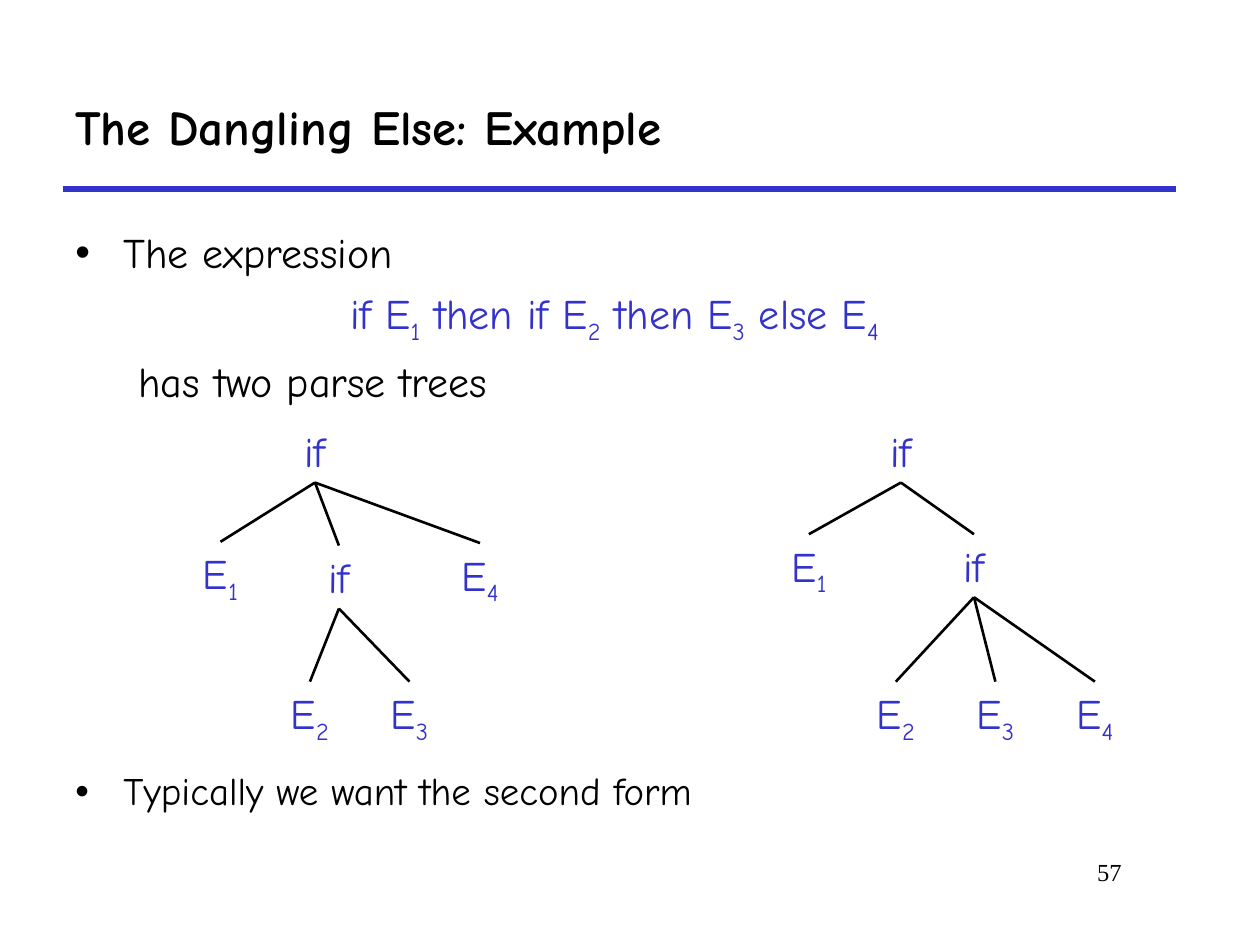
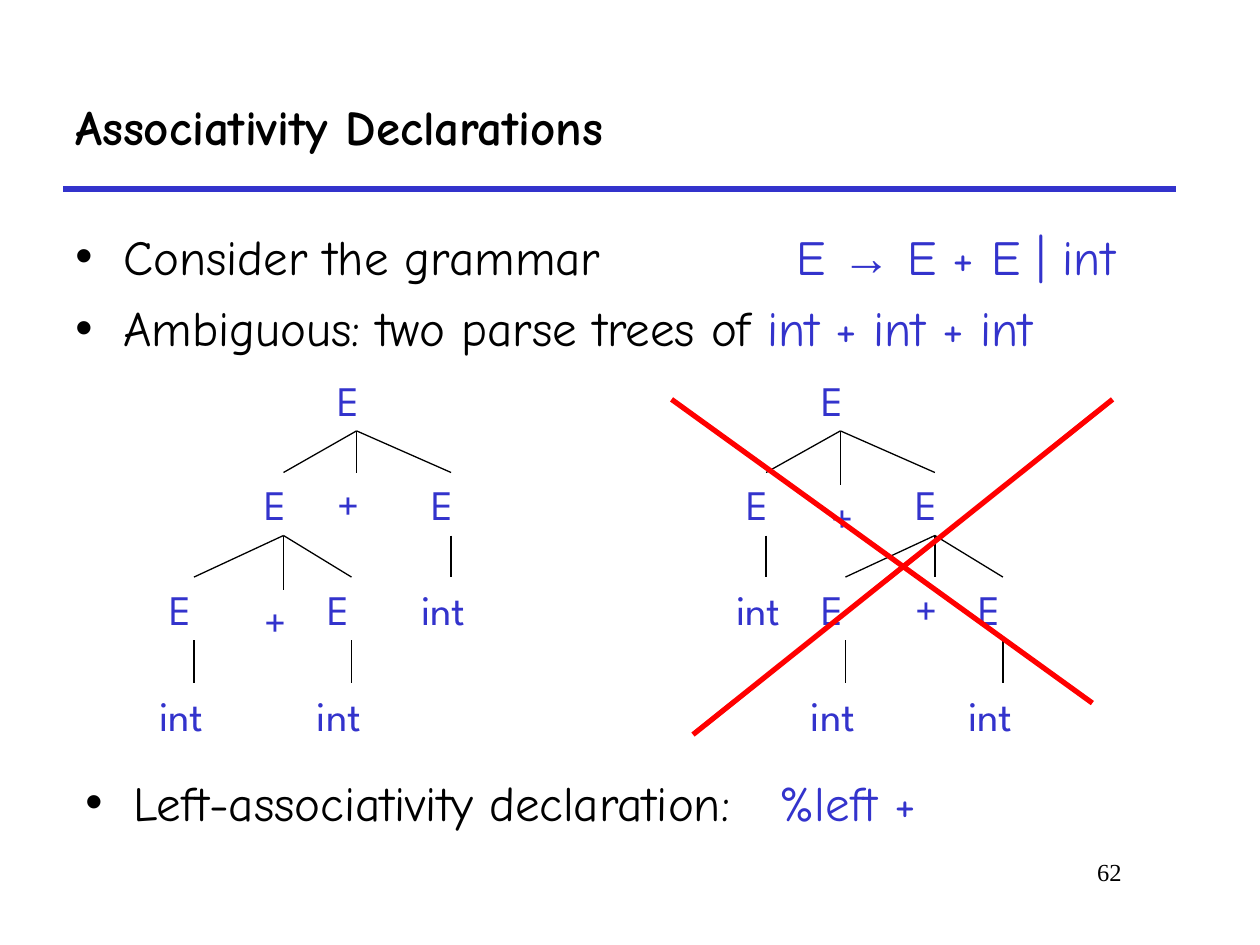
from lxml import etree
from pptx import Presentation
from pptx.dml.color import RGBColor
from pptx.enum.shapes import MSO_CONNECTOR
from pptx.enum.text import MSO_ANCHOR, PP_ALIGN
from pptx.oxml.ns import qn
from pptx.util import Inches, Pt

LEFT, CENTER, RIGHT = PP_ALIGN.LEFT, PP_ALIGN.CENTER, PP_ALIGN.RIGHT
TOP, MIDDLE = MSO_ANCHOR.TOP, MSO_ANCHOR.MIDDLE
STRAIGHT = MSO_CONNECTOR.STRAIGHT

BLACK, BLUE, RED = "000000", "3333CC", "FF0000"
BODY_FONT, TREE_FONT, NUMBER_FONT, ARROW_FONT = (
    "Comic Neue", "League Spartan", "Times New Roman", "Arial")

# Boxes: left, top, width, height
TITLE_BOX = (0.5, 0.5, 8.83, 1)
NUMBER_BOX = (7.58, 6.75, 1.42, 0.5)
TITLE_RULE = ((0.5, 1.5), (9.33, 1.5))
NODE_HEIGHT = 0.5

# Paragraph layouts: left margin, first-line indent, bullet
BULLET = (0.38, -0.38, True)
CONTINUED = (0.81, -0.31, False)
FORMULA = (2.18, 0, False)
PLAIN = (0, 0, False)

# Texts: box, size, space before, line spacing, paragraphs.
# A paragraph is a layout and its runs; "_" lowers the next character.
DANGLING_TEXTS = [
    ((0.5, 1.75, 9.08, 1.58), 24, 6, 1, [
        (BULLET, [("The expression", BLACK)]),
        (FORMULA, [("if E_1 then if E_2 then E_3 else E_4", BLUE)]),
        (CONTINUED, [("has two parse trees", BLACK)]),
    ]),
    ((0.5, 6.08, 9.08, 0.5), 22.2, 6, 0.9, [
        (BULLET, [("Typically we want the second form", BLACK)]),
    ]),
]
ASSOCIATIVITY_TEXTS = [
    ((0.5, 1.75, 9.08, 1.17), 28, 7, 1, [
        (BULLET, [("Consider the grammar", BLACK)]),
        (BULLET, [("Ambiguous: two parse trees of ", BLACK),
                  ("int + int + int", BLUE)]),
    ]),
    ((6.22, 1.75, 3.2, 0.6), 28, 7, 1, [
        (PLAIN, [("E ", BLUE), ("→", BLUE, ARROW_FONT),
                 (" E + E | int", BLUE)]),
    ]),
    ((0.58, 6.08, 9.08, 0.67), 28, 7, 1, [
        (BULLET, [("Left-associativity declaration:", BLACK)]),
    ]),
    ((6.09, 6.08, 2, 0.67), 28, 7, 1, [(PLAIN, [("%left +", BLUE)])]),
]

# Tree nodes: label, centre x, top, width, children
DANGLING_TREES = [
    ("if", 7.15, 3.33, 0.5, [
        ("E_1", 6.42, 4.24, 0.5, []),
        ("if", 7.73, 4.24, 0.5, [
            ("E_2", 7.11, 5.41, 0.5, []),
            ("E_3", 7.9, 5.41, 0.5, []),
            ("E_4", 8.69, 5.41, 0.5, []),
        ]),
    ]),
    ("if", 2.5, 3.33, 0.5, [
        ("E_1", 1.75, 4.3, 0.5, []),
        ("if", 2.69, 4.33, 0.5, [
            ("E_2", 2.46, 5.41, 0.5, []),
            ("E_3", 3.25, 5.41, 0.5, []),
        ]),
        ("E_4", 3.81, 4.31, 0.5, []),
    ]),
]
ROWS = (2.92, 3.75, 4.58, 5.42)
LOWERED = 0.1  # extra drop of some plus signs
ASSOCIATIVITY_TREES = [
    ("E", 6.67, ROWS[0], 0.5, [
        ("E", 6.08, ROWS[1], 0.5, [("int", 6.08, ROWS[2], 0.67, [])]),
        ("+", 6.67, ROWS[1] + LOWERED, 0.33, []),
        ("E", 7.42, ROWS[1], 0.5, [
            ("E", 6.71, ROWS[2], 0.58, [("int", 6.71, ROWS[3], 0.75, [])]),
            ("+", 7.42, ROWS[2], 0.5, []),
            ("E", 7.96, ROWS[2], 0.58, [("int", 7.96, ROWS[3], 0.75, [])]),
        ]),
    ]),
    ("E", 2.83, ROWS[0], 0.5, [
        ("E", 2.25, ROWS[1], 0.5, [
            ("E", 1.54, ROWS[2], 0.58, [("int", 1.54, ROWS[3], 0.75, [])]),
            ("+", 2.25, ROWS[2] + LOWERED, 0.5, []),
            ("E", 2.79, ROWS[2], 0.58, [("int", 2.79, ROWS[3], 0.75, [])]),
        ]),
        ("+", 2.83, ROWS[1], 0.5, []),
        ("E", 3.58, ROWS[1], 0.5, [("int", 3.58, ROWS[2], 0.67, [])]),
    ]),
]
CROSS = [((5.33, 3.17), (8.67, 5.58)), ((5.5, 5.83), (8.83, 3.17))]

# Slides: title, number, texts, trees, node font, alignment, branch width, cross
SLIDES = [
    ("The Dangling Else: Example", "57", DANGLING_TEXTS, DANGLING_TREES,
     BODY_FONT, CENTER, 1.5, []),
    ("Associativity Declarations", "62", ASSOCIATIVITY_TEXTS,
     ASSOCIATIVITY_TREES, TREE_FONT, LEFT, 0.75, CROSS),
]


def rgb(value):
    return RGBColor.from_string(value)


def add_line(shapes, start, end, color, width):
    ends = [Inches(v) for v in (*start, *end)]
    line = shapes.add_connector(STRAIGHT, *ends)
    line.line.color.rgb = rgb(color)
    line.line.width = Pt(width)
    etree.SubElement(line._element.spPr, qn("a:effectLst"))


def add_run(p, text, size, color, font, bold=False, lowered=False):
    r = p.add_run()
    r.text = text
    r.font.size = Pt(size)
    r.font.name = font
    r.font.bold = bold
    r.font.color.rgb = rgb(color)
    if lowered:
        r._r.get_or_add_rPr().set("baseline", "-25000")


def add_marked_runs(p, text, size, color, font, bold=False):
    """Add text to a paragraph, lowering each character that follows "_"."""
    first, *rest = text.split("_")
    add_run(p, first, size, color, font, bold)
    for part in rest:
        add_run(p, part[0], size, color, font, bold, lowered=True)
        if part[1:]:
            add_run(p, part[1:], size, color, font, bold)


def set_layout(p, layout):
    margin, indent, bullet = layout
    pPr = p._p.get_or_add_pPr()
    pPr.set("marL", str(Inches(margin)))
    pPr.set("indent", str(Inches(indent)))
    if bullet:
        clr = etree.SubElement(pPr, qn("a:buClr"))
        etree.SubElement(clr, qn("a:srgbClr")).set("val", BLACK)
        etree.SubElement(pPr, qn("a:buFont")).set("typeface", "Arial")
        etree.SubElement(pPr, qn("a:buChar")).set("char", "•")


def add_frame(shapes, box, wrap=True, anchor=TOP):
    tf = shapes.add_textbox(*[Inches(v) for v in box]).text_frame
    tf.word_wrap = wrap
    tf.vertical_anchor = anchor
    return tf


def add_label(shapes, box, text, size, color, font, align=LEFT, bold=False,
              wrap=True, anchor=TOP):
    p = add_frame(shapes, box, wrap, anchor).paragraphs[0]
    p.alignment = align
    add_marked_runs(p, text, size, color, font, bold)


def add_paragraphs(shapes, box, size, before, spacing, paragraphs):
    tf = add_frame(shapes, box)
    for i, (layout, runs) in enumerate(paragraphs):
        p = tf.add_paragraph() if i else tf.paragraphs[0]
        p.space_before = Pt(before)
        p.line_spacing = spacing
        set_layout(p, layout)
        for text, color, *font in runs:
            add_marked_runs(p, text, size, color, font[0] if font else BODY_FONT)


def add_tree(shapes, node, font, align, branch_width):
    label, x, top, width, children = node
    add_label(shapes, (x - width / 2, top, width, NODE_HEIGHT), label, 24, BLUE,
              font, align, wrap=False if align == CENTER else True)
    for child in children:
        add_line(shapes, (x, top + NODE_HEIGHT), child[1:3], BLACK, branch_width)
        add_tree(shapes, child, font, align, branch_width)


def add_slide(prs, title, number, texts, trees, font, align, branch_width, cross):
    s = prs.slides.add_slide(prs.slide_layouts[6])
    add_line(s.shapes, *TITLE_RULE, BLUE, 3)
    add_label(s.shapes, NUMBER_BOX, number, 14, BLACK, NUMBER_FONT, RIGHT)
    add_label(s.shapes, TITLE_BOX, title, 28, BLACK, BODY_FONT, bold=True,
              anchor=MIDDLE)
    for text in texts:
        add_paragraphs(s.shapes, *text)
    for tree in trees:
        group = s.shapes.add_group_shape()
        add_tree(group.shapes, tree, font, align, branch_width)
    for start, end in cross:
        add_line(s.shapes, start, end, RED, 3)


def main():
    prs = Presentation()
    prs.slide_width, prs.slide_height = Inches(10), Inches(7.5)
    for slide in SLIDES:
        add_slide(prs, *slide)
    prs.save("out.pptx")


if __name__ == "__main__":
    main()
